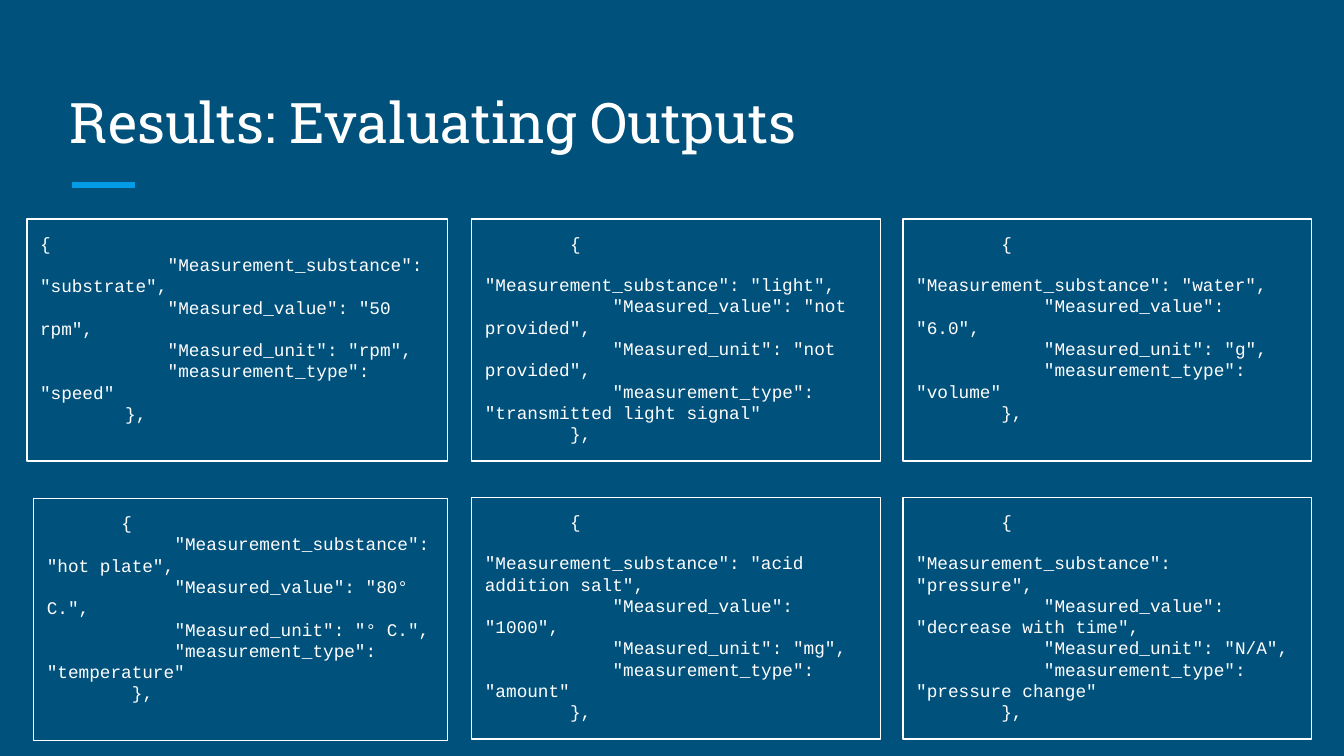
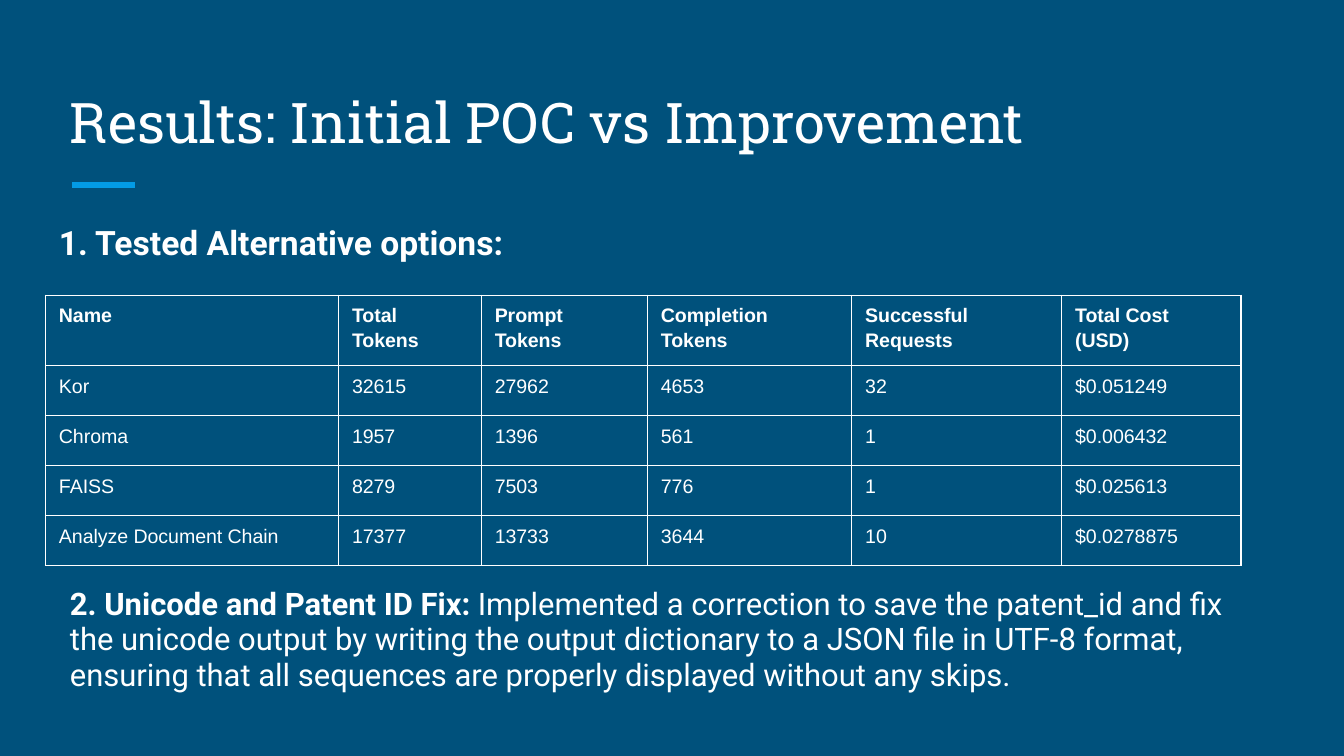
from lxml import etree
from pptx import Presentation
from pptx import util as u
from pptx.dml.color import RGBColor
from pptx.enum import shapes, text
from pptx.oxml import ns

COLORS = {"background": "00517C", "text": "FFFFFF", "accent": "039BE5"}
INSET = 7.2
CODE_SIZE = 9.5
CHAR_WIDTH = CODE_SIZE * 0.6
LINE_HEIGHT = 10.76
KEYS = ("Measurement_substance", "Measured_value", "Measured_unit", "measurement_type")

# left, top, width, columns before the opening brace, values
OUTPUTS = [
    (14.4, 117.4, 225.4, 0, ("substrate", "50 rpm", "rpm", "speed")),
    (18, 267.1, 221.8, 7, ("hot plate", "80° C.", "° C.", "temperature")),
    (252.7, 117.4, 218.9, 8,
     ("light", "not provided", "not provided", "transmitted light signal")),
    (252.7, 266.4, 218.9, 8, ("acid addition salt", "1000", "mg", "amount")),
    (483.8, 117.4, 218.9, 8, ("water", "6.0", "g", "volume")),
    (483.8, 266.4, 218.9, 8,
     ("pressure", "decrease with time", "N/A", "pressure change")),
]
COLUMN_WIDTHS = (157, 76.5, 89, 109.5, 112.5, 96)
ROW_HEIGHTS = (37.6, 26.8, 26.8, 26.8, 26.8)
COSTS = [
    ("Name", "Total Tokens", "Prompt Tokens", "Completion Tokens",
     "Successful Requests", "Total Cost (USD)"),
    ("Kor", "32615", "27962", "4653", "32", "$0.051249"),
    ("Chroma", "1957", "1396", "561", "1", "$0.006432"),
    ("FAISS", "8279", "7503", "776", "1", "$0.025613"),
    ("Analyze Document Chain", "17377", "13733", "3644", "10", "$0.0278875"),
]


def rgb(name):
    """Return the named colour."""
    return RGBColor.from_string(COLORS[name])


def points(*values):
    """Convert numbers to lengths in points."""
    return [u.Pt(v) for v in values]


def set_font(p, name, size, bold=None):
    """Set the font of a paragraph."""
    p.font.name, p.font.size, p.font.bold = name, u.Pt(size), bold
    p.font.color.rgb = rgb("text")


def set_frame(tf, anchor=text.MSO_ANCHOR.TOP):
    """Give a text frame wrapping, equal insets and an anchor."""
    tf.word_wrap = True
    tf.vertical_anchor = anchor
    tf.margin_left = tf.margin_top = tf.margin_right = tf.margin_bottom = u.Pt(INSET)


def add_text(slide, box, runs, font, size, spacing=1.0, after=0,
             anchor=text.MSO_ANCHOR.TOP):
    """Add a one-paragraph text box from (words, bold) runs."""
    tf = slide.shapes.add_textbox(*points(*box)).text_frame
    set_frame(tf, anchor)
    p = tf.paragraphs[0]
    set_font(p, font, size)
    p.line_spacing, p.space_after = spacing, u.Pt(after)
    for words, bold in runs:
        r = p.add_run()
        r.text, r.font.bold = words, bold


def add_titled_slide(prs, title):
    """Add a slide with its title and the short accent line."""
    slide = prs.slides.add_slide(prs.slide_layouts[6])
    line = slide.shapes.add_connector(shapes.MSO_CONNECTOR.STRAIGHT,
                                      *points(38.6, 99.2, 72.2, 99.2))
    line.line.color.rgb, line.line.width = rgb("accent"), u.Pt(3)
    etree.SubElement(line._element.spPr, ns.qn("a:effectLst"))
    add_text(slide, (30.4, 36, 659, 54), [(title, False)], "Roboto Slab", 30,
             anchor=text.MSO_ANCHOR.BOTTOM)
    return slide


def add_output(slide, left, top, width, brace_column, values):
    """Add an outlined box with one JSON record."""
    sp = slide.shapes.add_shape(shapes.MSO_SHAPE.RECTANGLE,
                                *points(left, top, width, 129.6))
    sp.shadow.inherit = False
    sp.fill.background()
    sp.line.color.rgb, sp.line.width = rgb("text"), u.Pt(0.75)
    tf = sp.text_frame
    set_frame(tf)
    fields = [f'"{key}": "{value}"' for key, value in zip(KEYS, values)]
    lines = [(brace_column, "{")]
    lines += [(12, field + ",") for field in fields[:-1]]
    lines += [(12, fields[-1]), (8, "},")]
    for i, (column, words) in enumerate(lines):
        p = tf.paragraphs[0] if i == 0 else tf.add_paragraph()
        p.text, p.alignment = words, text.PP_ALIGN.LEFT
        set_font(p, "Courier New", CODE_SIZE)
        indent = column * CHAR_WIDTH
        first_word = len(words.split()[0]) * CHAR_WIDTH
        if indent + first_word > width - 2 * INSET:
            p.space_before = u.Pt(LINE_HEIGHT)
            indent = 0
        pPr = p._p.get_or_add_pPr()
        pPr.set("marL", "0")
        pPr.set("indent", str(int(u.Pt(indent))))


def set_borders(cell):
    """Draw thin lines on all four sides of a cell."""
    tcPr = cell._tc.get_or_add_tcPr()
    for i, side in enumerate(("lnL", "lnR", "lnT", "lnB")):
        ln = etree.Element(ns.qn(f"a:{side}"), w=str(int(u.Pt(0.75))))
        fill = etree.SubElement(ln, ns.qn("a:solidFill"))
        etree.SubElement(fill, ns.qn("a:srgbClr"), val=COLORS["text"])
        tcPr.insert(i, ln)


def add_cost_table(slide):
    """Add the table of tokens and costs."""
    box = points(24.4, 158.2, sum(COLUMN_WIDTHS), sum(ROW_HEIGHTS))
    table = slide.shapes.add_table(len(COSTS), len(COLUMN_WIDTHS), *box).table
    table.horz_banding = False
    for column, width in zip(table.columns, COLUMN_WIDTHS):
        column.width = u.Pt(width)
    for i, (row, height) in enumerate(zip(table.rows, ROW_HEIGHTS)):
        row.height = u.Pt(height)
        for cell, words in zip(row.cells, COSTS[i]):
            cell.fill.background()
            set_borders(cell)
            cell.margin_left = cell.margin_right = u.Pt(INSET)
            cell.margin_top = cell.margin_bottom = u.Pt(INSET / 2)
            p = cell.text_frame.paragraphs[0]
            p.text, p.line_spacing = words, 1.15
            set_font(p, "Arial", 10.5, i == 0)


def main():
    """Build both slides and save them."""
    prs = Presentation()
    prs.slide_width, prs.slide_height = points(720, 405)
    fill = prs.slide_master.background.fill
    fill.solid()
    fill.fore_color.rgb = rgb("background")

    slide = add_titled_slide(prs, "Results: Evaluating Outputs")
    for output in OUTPUTS:
        add_output(slide, *output)

    slide = add_titled_slide(prs, "Results: Initial POC vs Improvement")
    add_cost_table(slide)
    add_text(slide, (24.4, 108.7, 671, 45.4),
             [("1. Tested Alternative options:", True)], "Roboto", 18, 1.15, 12)
    add_text(slide, (30.4, 307.4, 641, 72.7),
             [("2. Unicode and Patent ID Fix: ", True),
              ("Implemented a correction to save the patent_id and fix the unicode "
               "output by writing the output dictionary to a JSON file in UTF-8 "
               "format, ensuring that all sequences are properly displayed without "
               "any skips.", False)], "Roboto", 16.6, 0.95, 12)
    prs.save("out.pptx")


if __name__ == "__main__":
    main()
